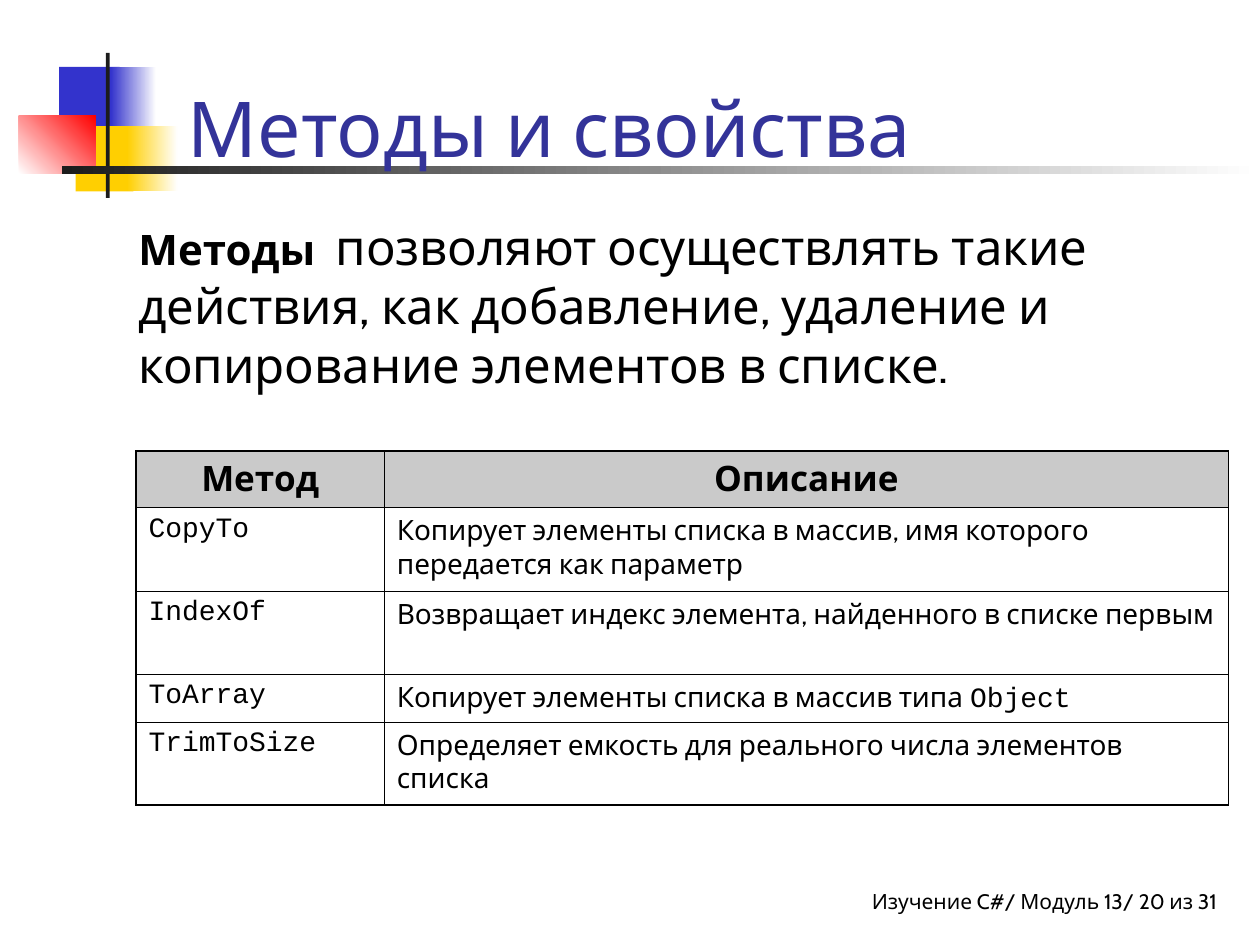
from lxml.etree import SubElement
from pptx import Presentation
from pptx.dml.color import RGBColor
from pptx.enum.shapes import MSO_SHAPE
from pptx.enum.text import MSO_ANCHOR, MSO_AUTO_SIZE, PP_ALIGN
from pptx.oxml import parse_xml
from pptx.oxml.ns import nsdecls, qn
from pptx.util import Inches, Pt

deck = Presentation()
deck.slide_width, deck.slide_height = Inches(10), Inches(7.5)
column, row = deck.slide_width / 100, deck.slide_height / 75
page = deck.slides.add_slide(deck.slide_layouts[5])


def grid(left, top, width, height):
    return [round(n * unit) for n, unit in
            zip((left, top, width, height), (column, row, column, row))]


def add_span(para, text, size, color="000000", bold=False, font="Cabin"):
    span = para.add_run()
    span.text = text
    span.font.name, span.font.size, span.font.bold = font, Pt(size), bold
    span.font.color.rgb = RGBColor.from_string(color)


ornaments = [
    ((4.7, 5.3, 4.8, 5.2), ["3333CC"], 0),
    ((8.8, 5.3, 3.6, 5.2), ["3333CC", "FFFFFF"], 0),
    ((6, 10, 4.6, 5.2), ["FFCF01"], 0),
    ((10.1, 10, 4, 5.2), ["FFCF01", "FFFFFF"], 0),
    ((1.5, 9.2, 6.1, 4.6), ["FFFFFF", "FF0000"], 45),
    ((8.4, 4.2, 0.3, 11.5), ["1C1C1C"], 0),
    ((4.9, 13.2, 95.1, 0.6), ["1C1C1C", "FFFFFF"], 0),
]
for place, colors, angle in ornaments:
    block = page.shapes.add_shape(MSO_SHAPE.RECTANGLE, *grid(*place))
    block.shadow.inherit = False
    block.line.fill.background()
    if len(colors) == 1:
        block.fill.solid()
        block.fill.fore_color.rgb = RGBColor.from_string(colors[0])
    else:
        block.fill.gradient()
        block.fill.gradient_angle = angle
        for stop, color in zip(block.fill.gradient_stops, colors):
            stop.color.rgb = RGBColor.from_string(color)

title = page.shapes.title
title.left, title.top, title.width, title.height = grid(13.9, 1.7, 85.2, 12.5)
page.shapes._spTree.append(title._element)
title.text_frame.auto_size = MSO_AUTO_SIZE.NONE
title.text_frame.vertical_anchor = MSO_ANCHOR.BOTTOM
para = title.text_frame.paragraphs[0]
para.alignment = PP_ALIGN.LEFT
add_span(para, "Методы и свойства", 44, "333399")

intro = page.shapes.add_textbox(*grid(10, 16.7, 85, 15.8))
intro.text_frame.word_wrap = True
para = intro.text_frame.paragraphs[0]
add_span(para, "Методы ", 24, bold=True)
add_span(para, " позволяют осуществлять такие действия, как добавление, "
               "удаление и копирование элементов в списке.", 28)

footer = page.shapes.add_textbox(*grid(45.8, 70, 50.8, 3.3))
footer.text_frame.word_wrap = True
footer.text_frame.margin_right = 0
para = footer.text_frame.paragraphs[0]
para.alignment = PP_ALIGN.RIGHT
add_span(para, "Изучение C#/ Модуль 13/ 20 из 31", 12)

methods = [
    ("Метод", ["Описание"]),
    ("CopyTo", ["Копирует элементы списка в массив, имя которого передается как параметр"]),
    ("IndexOf", ["Возвращает индекс элемента, найденного в списке первым"]),
    ("ToArray", ["Копирует элементы списка в массив типа ", "Object"]),
    ("TrimToSize", ["Определяет емкость для реального числа элементов списка"]),
]
table = page.shapes.add_table(len(methods), 2, *grid(10.8, 35.8, 86.7, 28.1)).table
for table_column, width in zip(table.columns, (19.7, 67)):
    table_column.width = round(width * column)
for table_row, height in zip(table.rows, (4.5, 6.6, 6.6, 3.8, 6.6)):
    table_row.height = round(height * row)

for y, (method, description) in enumerate(methods):
    for x, texts in enumerate(([method], description)):
        cell = table.cell(y, x)
        para = cell.text_frame.paragraphs[0]
        if y == 0:
            para.alignment = PP_ALIGN.CENTER
            add_span(para, texts[0], 20, bold=True)
            cell.fill.solid()
            cell.fill.fore_color.rgb = RGBColor.from_string("969696")
            tint = cell._tc.tcPr.find(".//" + qn("a:srgbClr"))
            SubElement(tint, qn("a:alpha")).set("val", "50000")
        else:
            for i, text in enumerate(texts):
                code = x == 0 or i == 1
                add_span(para, text, 16, font="Courier New" if code else "Cabin")
            cell.fill.background()
        outer = {"L": x == 0, "R": x == 1, "T": y == 0, "B": y == len(methods) - 1}
        for i, (side, thick) in enumerate(outer.items()):
            cell._tc.tcPr.insert(i, parse_xml(
                f'<a:ln{side} {nsdecls("a")} w="{Pt(1.08 if thick else 0.45)}">'
                '<a:solidFill><a:srgbClr val="000000"/></a:solidFill>'
                f'</a:ln{side}>'))

deck.save("out.pptx")
